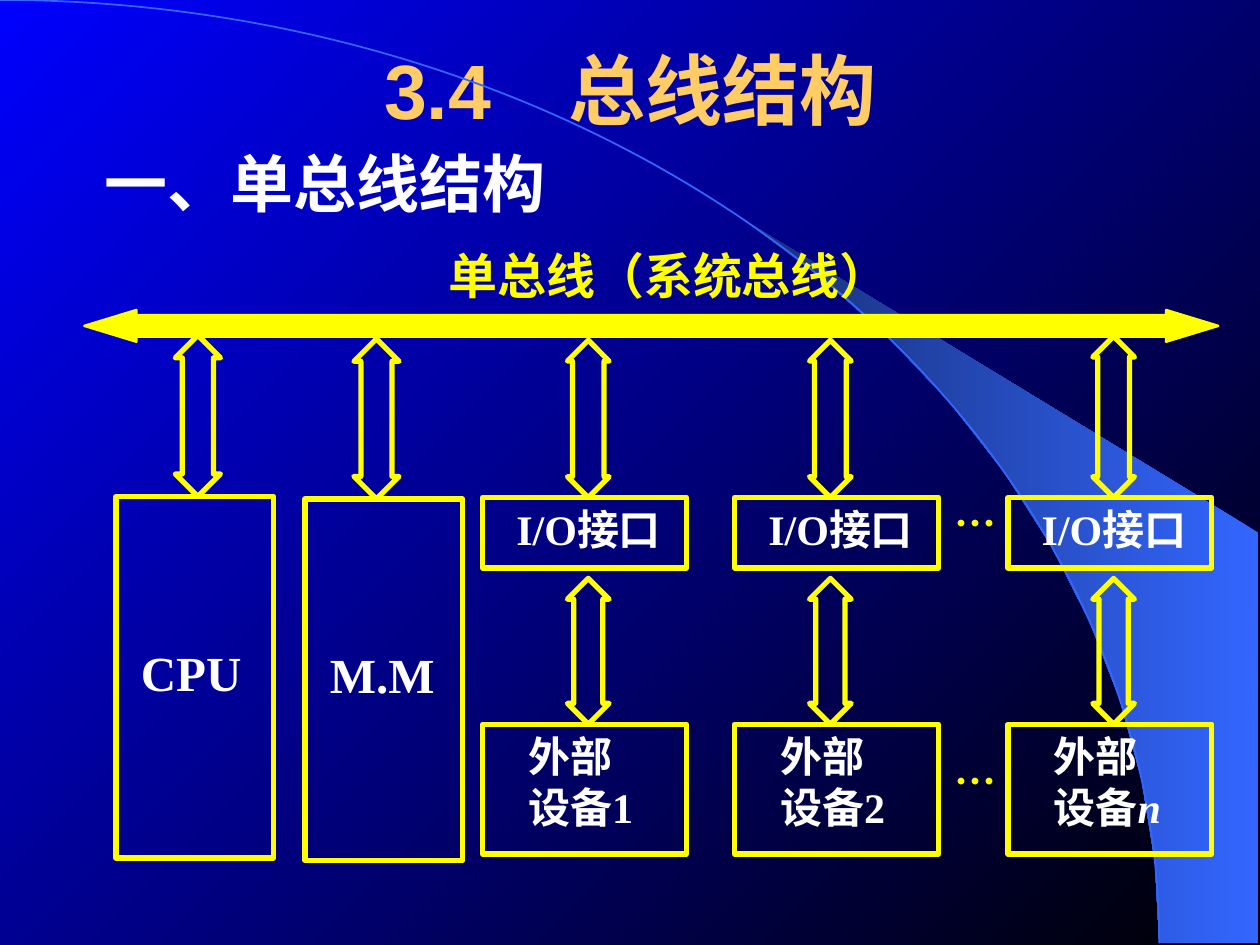
"""Build the slide on the single-bus computer structure."""
from dataclasses import dataclass
from math import cos, radians, sin

from lxml import etree
from pptx import Presentation
from pptx import util as u
from pptx.dml.color import RGBColor
from pptx.enum import shapes, text
from pptx.oxml.ns import qn


@dataclass(frozen=True)
class Theme:
    black: str = "000000"
    blue: str = "0000FF"
    sky: str = "3366FF"
    navy: str = "172F75"
    gold: str = "FFCC66"
    yellow: str = "FFFF00"
    white: str = "FFFFFF"
    sans: str = "Arial"
    serif: str = "Times New Roman"
    chinese: str = "Noto Sans CJK SC"
    title: int = 44
    heading: int = 36
    label: int = 28
    small: int = 24


theme = Theme()


def write(frame, words, font=theme.serif, size=theme.small, color=theme.white,
          margins=(0, 0, 0, 0), wrap=True, anchor=text.MSO_ANCHOR.TOP,
          align=text.PP_ALIGN.LEFT, italic_end=""):
    frame.margin_left, frame.margin_top, frame.margin_right, frame.margin_bottom = map(u.Cm, margins)
    frame.word_wrap, frame.vertical_anchor = wrap, anchor
    frame.auto_size = text.MSO_AUTO_SIZE.NONE
    frame.text = words
    if italic_end:
        frame.paragraphs[-1].add_run().text = italic_end
        frame.paragraphs[-1].runs[-1].font.italic = True
    for paragraph in frame.paragraphs:
        paragraph.alignment = align
        for run in paragraph.runs:
            run.font.name, run.font.size, run.font.bold = font, u.Pt(size), True
            run.font.color.rgb = RGBColor.from_string(color)
            etree.SubElement(run.font._element, qn("a:ea"), typeface=theme.chinese)


def draw(preset, left, top, width, height, line=theme.yellow, weight=3, fill=None, adjust=()):
    part = slide.shapes.add_shape(preset, *map(u.Cm, (left, top, width, height)))
    part.shadow.inherit = False
    part.line.color.rgb = RGBColor.from_string(line)
    part.line.width = u.Pt(weight)
    if fill:
        part.fill.solid()
        part.fill.fore_color.rgb = RGBColor.from_string(fill)
    else:
        part.fill.background()
    for index, value in enumerate(adjust):
        part.adjustments[index] = value
    return part


deck = Presentation()
deck.slide_width, deck.slide_height = u.Cm(25.4), u.Cm(19.05)
slide = deck.slides.add_slide(deck.slide_layouts[5])

radius_x, radius_y = 23.37, 19.02
edge = [(radius_x * sin(radians(a)), radius_y * (1 - cos(radians(a)))) for a in range(40, 91, 5)]
outline = edge + [(25.37, radius_y), (25.37, 10.74)]
points = [(u.Cm(x), u.Cm(y)) for x, y in outline]
builder = slide.shapes.build_freeform(*points[0])
builder.add_line_segments(points[1:], close=True)
beam = builder.convert_to_shape()
beam.shadow.inherit = False
beam.line.fill.background()

for fill, angle, colors in ((slide.background.fill, 135, (theme.black, theme.blue)),
                            (beam.fill, 180, (theme.sky, theme.navy))):
    fill.gradient()
    fill.gradient_angle = angle
    for stop, color in zip(fill.gradient_stops, colors):
        stop.color.rgb = RGBColor.from_string(color)

draw(shapes.MSO_SHAPE.ARC, -radius_x, 0, 2 * radius_x, 2 * radius_y, line=theme.sky, weight=1)

title = slide.shapes.title
title.left, title.top, title.width, title.height = map(u.Cm, (1.91, 0.2, 21.59, 3.18))
write(title.text_frame, "3.4　总线结构", font=theme.sans, size=theme.title, color=theme.gold,
      margins=(0.25, 0.13, 0.25, 0.13), anchor=text.MSO_ANCHOR.MIDDLE,
      align=text.PP_ALIGN.CENTER)

heading = slide.shapes.add_textbox(*map(u.Cm, (1.85, 2.79, 12.75, 1.78)))
write(heading.text_frame, "一、单总线结构", size=theme.heading, margins=(0.25, 0.13, 0.25, 0.13))

bus_label = slide.shapes.add_textbox(*map(u.Cm, (9.04, 4.95, 8.89, 1.19)))
write(bus_label.text_frame, "单总线（系统总线）", font=theme.chinese, size=theme.label,
      color=theme.yellow, wrap=False)
draw(shapes.MSO_SHAPE.LEFT_RIGHT_ARROW, 1.7, 6.25, 22.86, 0.64, weight=1.39,
     fill=theme.yellow, adjust=(0.68, 1.64))

for name, left, top, center, arrow_top in (("CPU", 2.34, 10.01, 3.99, 6.76),
                                           ("M.M", 6.15, 10.06, 7.59, 6.83)):
    unit = draw(shapes.MSO_SHAPE.RECTANGLE, left, top, 3.18, 7.29)
    write(unit.text_frame, name, size=theme.label, margins=(0.5, 2.94, 0.25, 0.13))
    draw(shapes.MSO_SHAPE.UP_DOWN_ARROW, center - 0.455, arrow_top, 0.91, top - arrow_top,
         adjust=(0.5, 0.69))

port_top, device_top = 10.03, 14.6
for left, center, arrow_top, number in ((9.73, 11.86, 6.86, "1"), (14.81, 16.74, 6.86, "2"),
                                        (20.32, 22.45, 6.78, "n")):
    port = draw(shapes.MSO_SHAPE.RECTANGLE, left, port_top, 4.11, 1.42)
    write(port.text_frame, "I/O接口", margins=(0.68, 0.13, 0, 0.13))
    device = draw(shapes.MSO_SHAPE.RECTANGLE, left, device_top, 4.11, 2.62)
    letter = number if number.isalpha() else ""
    write(device.text_frame, "外部\n设备" + number.removesuffix(letter),
          margins=(0.92, 0.13, 0, 0.13), italic_end=letter)
    for top, bottom, head in ((arrow_top, port_top, 0.76), (11.66, device_top, 0.7)):
        draw(shapes.MSO_SHAPE.UP_DOWN_ARROW, center - 0.42, top, 0.84, bottom - top,
             adjust=(0.5, head))

for top in (port_top, 15.24):
    ellipsis = slide.shapes.add_textbox(*map(u.Cm, (19.25, top, 1.07, 1.02)))
    write(ellipsis.text_frame, "…", font=theme.chinese, color=theme.yellow)

deck.save("out.pptx")
